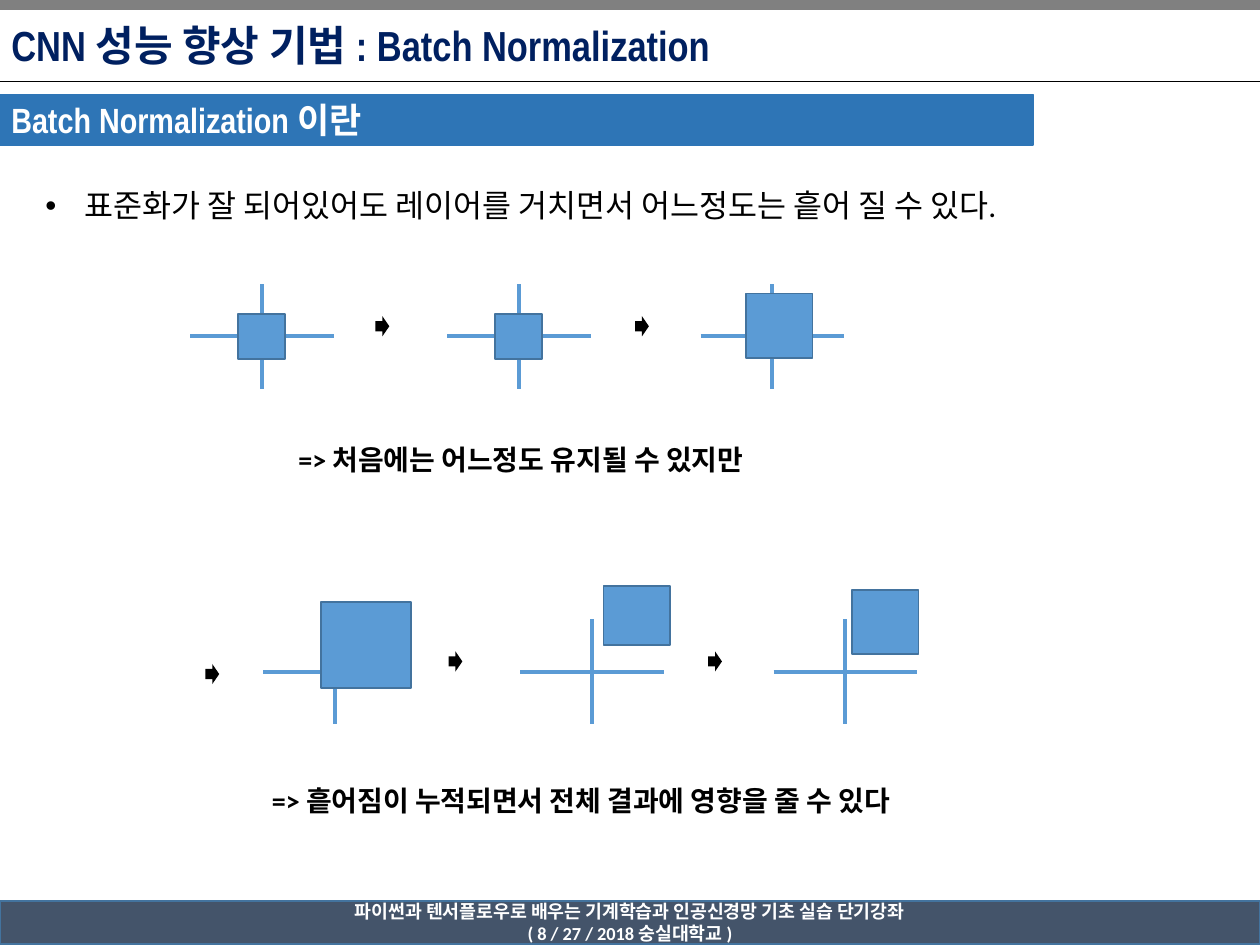
from dataclasses import dataclass
from lxml import etree
from pptx import Presentation, util as u
from pptx.dml.color import RGBColor
from pptx.enum import shapes, text
from pptx.oxml.ns import qn


@dataclass(frozen=True)
class Theme:
    navy: str = "002060"
    banner: str = "2E75B6"
    blue: str = "5B9BD5"
    edge: str = "43739E"
    slate: str = "44546A"
    gray: str = "808080"
    black: str = "000000"
    white: str = "FFFFFF"
    head_font: str = "Arial Narrow"
    body_font: str = "Calibri"
    title: float = 24
    section: float = 20
    body: float = 18
    caption: float = 16
    footer: float = 10.5


T = Theme()
W, H = 10, 7.5

# Diagram grid: three axis columns and two arrow columns, relative to the row's first centre
AXIS_COLS = (0, 2.04, 4.05)
ARROW_COLS = (0.9, 2.96)
ARROW_RISE = 0.16
AXIS_W, AXIS_H = 1.14, 0.83
ARROW_W, ARROW_H = 0.11, 0.16

# Each row: centre of the first axes, then each square's offset from its axes and its size
ROWS = (
    ((2.08, 2.67), ((-0.19, -0.18, 0.37, 0.36),
                    (-0.19, -0.18, 0.37, 0.36),
                    (-0.21, -0.34, 0.53, 0.51))),
    ((2.66, 5.33), ((-0.11, -0.55, 0.71, 0.68),
                    (0.09, -0.68, 0.53, 0.47),
                    (0.05, -0.65, 0.53, 0.51))),
)


def rgb(value):
    return RGBColor.from_string(value)


def place(sp, *box):
    sp.left, sp.top, sp.width, sp.height = (u.Inches(v) for v in box)


def write(sp, *lines, size, color=T.black, font=T.body_font, bold=True,
          align=text.PP_ALIGN.LEFT, anchor=text.MSO_ANCHOR.MIDDLE,
          inset=(0.1, 0.05), bullet=None):
    tf = sp.text_frame
    tf.word_wrap = True
    tf.auto_size = text.MSO_AUTO_SIZE.NONE
    tf.vertical_anchor = anchor
    tf.margin_left = tf.margin_right = u.Inches(inset[0])
    tf.margin_top = tf.margin_bottom = u.Inches(inset[1])
    for i, line in enumerate(lines):
        p = tf.add_paragraph() if i else tf.paragraphs[0]
        p.alignment = align
        p.space_before = u.Pt(0)
        if bullet:
            pPr = p._p.get_or_add_pPr()
            indent = u.Inches(0.31)
            pPr.set("marL", str(indent))
            pPr.set("indent", str(-indent))
            etree.SubElement(pPr, qn("a:buChar")).set("char", bullet)
        r = p.add_run()
        r.text = line
        r.font.size, r.font.bold, r.font.name = u.Pt(size), bold, font
        r.font.color.rgb = rgb(color)


def block(parent, box, fill, line=None, kind=shapes.MSO_SHAPE.RECTANGLE):
    sp = parent.add_shape(kind, *(u.Inches(v) for v in box))
    sp.shadow.inherit = False
    sp.fill.solid()
    sp.fill.fore_color.rgb = rgb(fill)
    if line:
        sp.line.color.rgb = rgb(line)
        sp.line.width = u.Pt(1)
    else:
        sp.line.fill.background()
    return sp


def rule(parent, x1, y1, x2, y2, color, width):
    c = parent.add_connector(shapes.MSO_CONNECTOR.STRAIGHT,
                             *(u.Inches(v) for v in (x1, y1, x2, y2)))
    c.line.color.rgb = rgb(color)
    c.line.width = u.Pt(width)
    etree.SubElement(c._element.spPr, qn("a:effectLst"))


def arrow(parent, x, y):
    block(parent, (x, y, ARROW_W, ARROW_H), T.black,
          kind=shapes.MSO_SHAPE.RIGHT_ARROW)


def scatter(parent, x, y, square):
    """Axes centred on (x, y) with the data square over them."""
    dx, dy, w, h = square
    rule(parent, x, y - AXIS_H / 2, x, y + AXIS_H / 2, T.blue, 2.25)
    rule(parent, x - AXIS_W / 2, y, x + AXIS_W / 2, y, T.blue, 2.25)
    block(parent, (x + dx, y + dy, w, h), T.blue, T.edge)


def diagram_row(s, origin, squares):
    x, y = origin
    group = s.shapes.add_group_shape().shapes
    for col, square in zip(AXIS_COLS, squares):
        scatter(group, x + col, y, square)
    for col in ARROW_COLS:
        arrow(group, x + col, y - ARROW_RISE)


def caption(s, line, *box):
    sp = s.shapes.add_textbox(*(u.Inches(v) for v in box))
    write(sp, line, size=T.caption, anchor=text.MSO_ANCHOR.TOP)


def frame(s):
    """Top bar, rule under the title, and footer."""
    block(s.shapes, (0, 0, W, 0.07), T.gray, T.gray)
    rule(s.shapes, 0, 0.65, W, 0.65, T.black, 0.5)
    footer = block(s.shapes, (0, 7.15, W, 0.34), T.slate, T.edge)
    write(footer, "파이썬과 텐서플로우로 배우는 기계학습과 인공신경망 기초 실습 단기강좌",
          "( 8 / 27 / 2018 숭실대학교 )", size=T.footer, color=T.white,
          align=text.PP_ALIGN.CENTER)


def headings(s):
    title, body = s.placeholders
    place(title, 0, 0.03, 7.81, 0.65)
    write(title, "CNN 성능 향상 기법 : Batch Normalization", size=T.title,
          color=T.navy, font=T.head_font, inset=(0.09, 0.04))
    banner = block(s.shapes, (0, 0.75, 0.82 * W, 0.4), T.banner, T.banner)
    write(banner, "Batch Normalization 이란", size=T.section, color=T.white,
          font=T.head_font, inset=(0.09, 0.04))
    place(body, 0.26, 1.43, 8.42, 0.4)
    write(body, "표준화가 잘 되어있어도 레이어를 거치면서 어느정도는 흩어 질 수 있다.",
          size=T.body, bold=False, anchor=text.MSO_ANCHOR.TOP, bullet="•")


def main():
    prs = Presentation()
    prs.slide_width, prs.slide_height = u.Inches(W), u.Inches(H)
    s = prs.slides.add_slide(prs.slide_layouts[1])
    frame(s)
    headings(s)
    # Squares drifting from the centre, layer by layer
    for origin, squares in ROWS:
        diagram_row(s, origin, squares)
    arrow(s.shapes, 1.63, 5.27)
    caption(s, "=> 처음에는 어느정도 유지될 수 있지만", 2.27, 3.46, 4.05, 0.37)
    caption(s, "=> 흩어짐이 누적되면서 전체 결과에 영향을 줄 수 있다",
            2.06, 6.17, 5.75, 0.37)
    prs.save("out.pptx")


if __name__ == "__main__":
    main()
